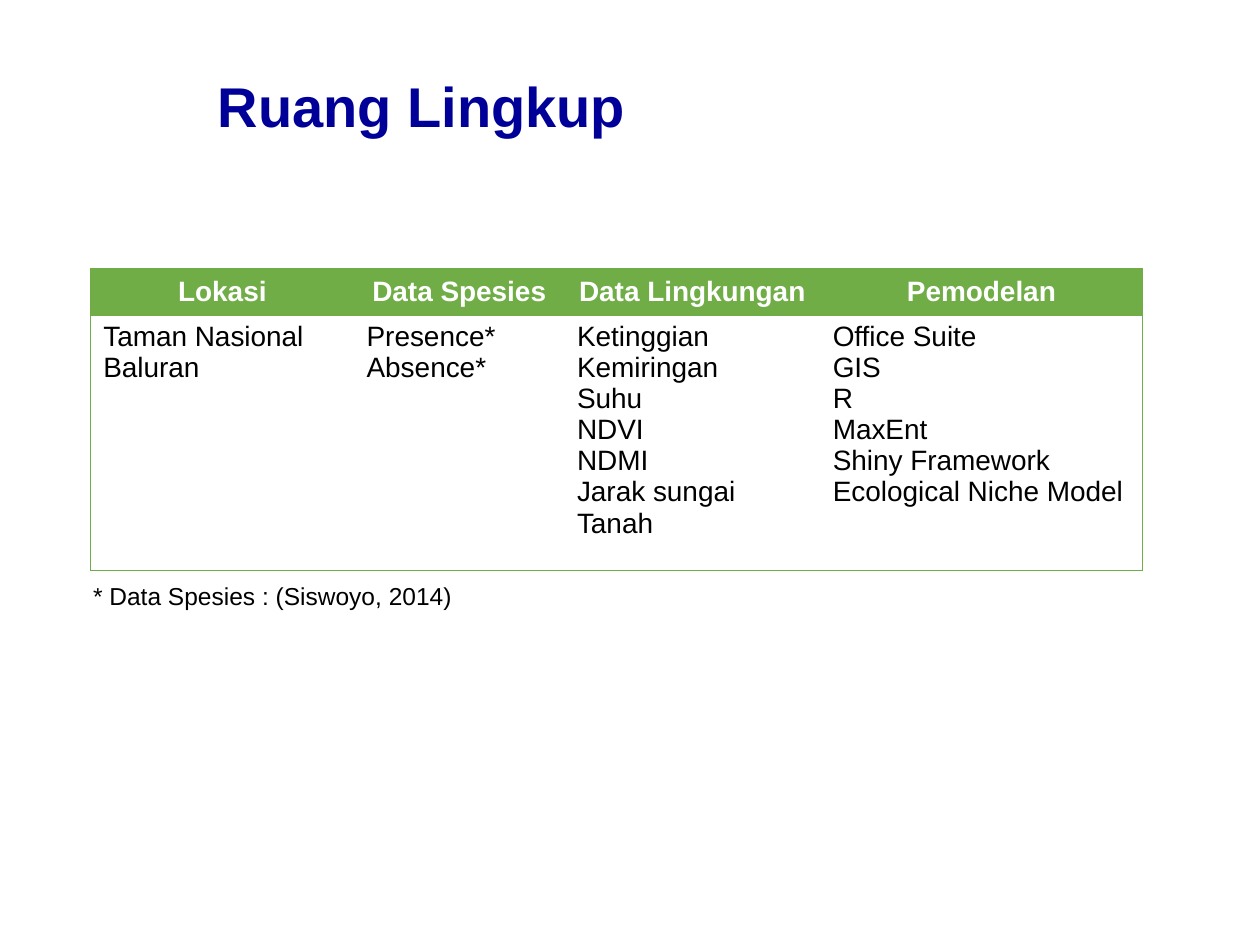
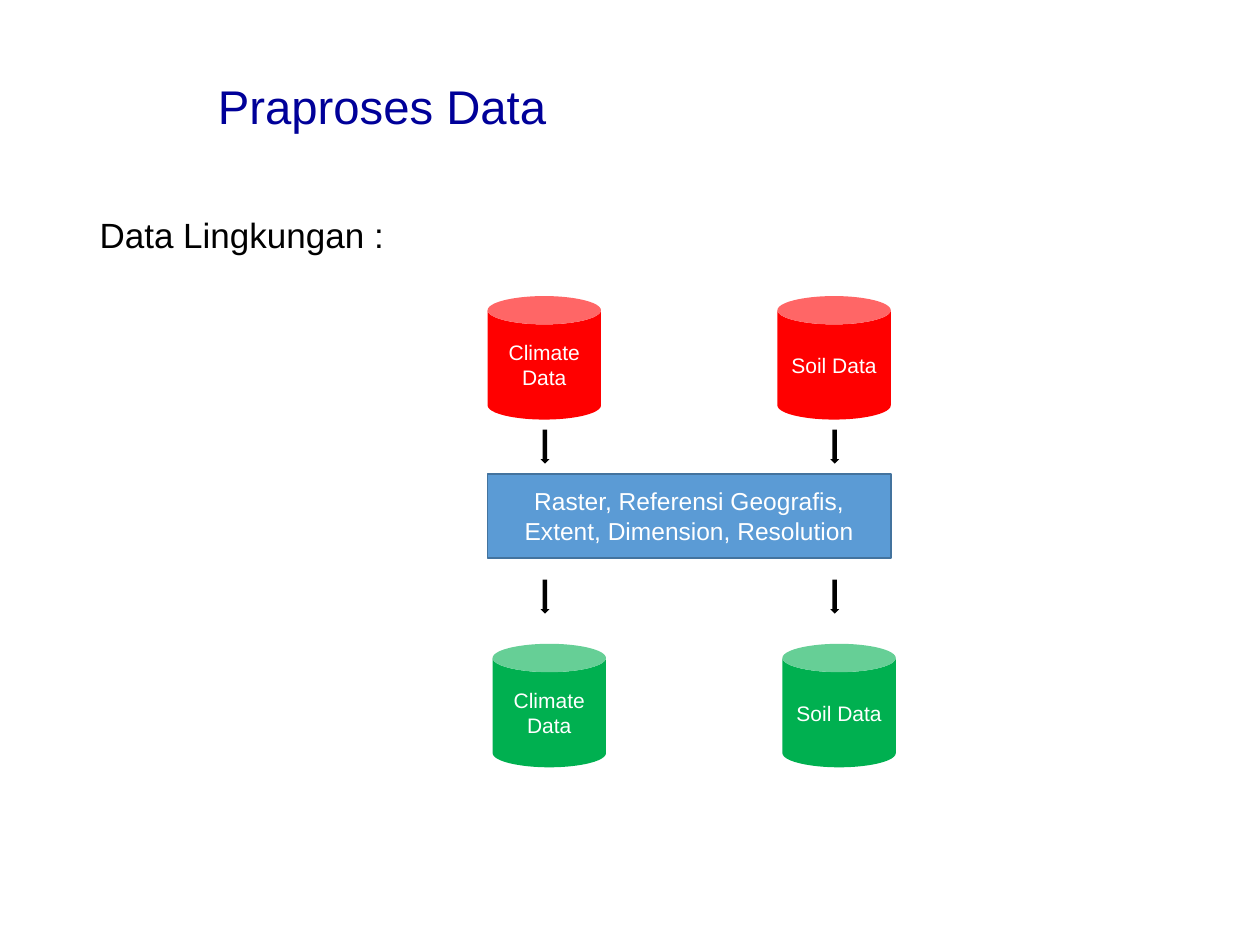
"""Build two slides: the scope table and the data preprocessing flow."""
from dataclasses import dataclass

from lxml import etree
from pptx import Presentation
from pptx.dml import color
from pptx.enum import shapes, text
from pptx.oxml import ns
from pptx.util import Inches, Pt

FONT = "Arial"
NAVY, BLACK, WHITE = "000099", "000000", "FFFFFF"
TABLE_GREEN, RED, GREEN = "70AD47", "FF0000", "00B050"
BLUE, BLUE_EDGE = "5B9BD5", "43739E"

LEFT, CENTER = text.PP_ALIGN.LEFT, text.PP_ALIGN.CENTER
MIDDLE, TOP = text.MSO_ANCHOR.MIDDLE, text.MSO_ANCHOR.TOP
SHAPE = shapes.MSO_SHAPE
COLUMN_STEP = 2.3


@dataclass(frozen=True)
class ScopeColumn:
    heading: str
    width: float
    entries: tuple[str, ...]


@dataclass(frozen=True)
class Block:
    kind: int
    left: float
    top: float
    width: float
    height: float
    fill: str
    label: str = ""
    size: int = 12
    edge: str = ""


SCOPE = (
    ScopeColumn("Lokasi", 2.09, ("Taman Nasional Baluran",)),
    ScopeColumn("Data Spesies", 1.67, ("Presence*", "Absence*")),
    ScopeColumn("Data Lingkungan", 2.03, ("Ketinggian", "Kemiringan", "Suhu", "NDVI",
                                          "NDMI", "Jarak sungai", "Tanah")),
    ScopeColumn("Pemodelan", 2.56, ("Office Suite", "GIS", "R", "MaxEnt",
                                    "Shiny Framework", "Ecological Niche Model")),
)


def rgb(value: str) -> color.RGBColor:
    return color.RGBColor.from_string(value)


def place(item, left: float, top: float, width: float, height: float) -> None:
    item.left, item.top = Inches(left), Inches(top)
    item.width, item.height = Inches(width), Inches(height)


def write(frame, lines: tuple[str, ...], size: int, ink: str, align=LEFT, bold=False) -> None:
    frame.text = "\n".join(lines)
    for paragraph in frame.paragraphs:
        paragraph.alignment = align
        font = paragraph.font
        font.name, font.size, font.bold = FONT, Pt(size), bold
        font.color.rgb = rgb(ink)


def add_titled_slide(deck, layout: int, heading: str, size: int, bold: bool):
    slide = deck.slides.add_slide(deck.slide_layouts[layout])
    title = slide.shapes.title
    place(title, 1.63, 0.4, 7.68, 0.94)
    frame = title.text_frame
    write(frame, (heading,), size, NAVY, bold=bold)
    frame.vertical_anchor = MIDDLE
    frame.auto_size = text.MSO_AUTO_SIZE.NONE
    frame.paragraphs[0].line_spacing = 0.9
    return slide


def set_borders(cell, drawn: dict[str, bool]) -> None:
    properties = cell._tc.get_or_add_tcPr()
    for side in "LRTB":
        line = etree.SubElement(properties, ns.qn(f"a:ln{side}"), w=str(Pt(0.5)))
        if drawn[side]:
            fill = etree.SubElement(line, ns.qn("a:solidFill"))
            etree.SubElement(fill, ns.qn("a:srgbClr"), val=TABLE_GREEN)
        else:
            etree.SubElement(line, ns.qn("a:noFill"))


def add_scope_table(slide) -> None:
    width = sum(column.width for column in SCOPE)
    table = slide.shapes.add_table(2, len(SCOPE), Inches(0.72), Inches(2.13),
                                   Inches(width), Inches(2.4)).table
    table.rows[0].height, table.rows[1].height = Inches(0.37), Inches(2.03)
    for index, column in enumerate(SCOPE):
        table.columns[index].width = Inches(column.width)
        header, body = table.cell(0, index), table.cell(1, index)
        for cell in (header, body):
            set_borders(cell, {"L": index == 0, "R": index == len(SCOPE) - 1,
                               "T": True, "B": True})
        header.fill.solid()
        header.fill.fore_color.rgb = rgb(TABLE_GREEN)
        header.vertical_anchor = MIDDLE
        write(header.text_frame, (column.heading,), 16, WHITE, CENTER, True)
        body.fill.background()
        body.vertical_anchor = TOP
        write(body.text_frame, column.entries, 16, BLACK)


def add_block(slide, block: Block) -> None:
    shape = slide.shapes.add_shape(block.kind, Inches(block.left), Inches(block.top),
                                   Inches(block.width), Inches(block.height))
    shape.shadow.inherit = False
    shape.fill.solid()
    shape.fill.fore_color.rgb = rgb(block.fill)
    if block.edge:
        shape.line.color.rgb = rgb(block.edge)
        shape.line.width = Pt(1)
    else:
        shape.line.fill.background()
    if block.label:
        write(shape.text_frame, (block.label,), block.size, WHITE, CENTER)
        shape.text_frame.vertical_anchor = MIDDLE


def add_data_row(slide, left: float, top: float, fill: str) -> None:
    for index, label in enumerate(("Climate Data", "Soil Data")):
        add_block(slide, Block(SHAPE.CAN, left + index * COLUMN_STEP, top,
                               0.9, 0.98, fill, label))


def add_arrow_row(slide, top: float) -> None:
    for index in range(2):
        add_block(slide, Block(SHAPE.DOWN_ARROW, 4.29 + index * COLUMN_STEP, top,
                               0.07, 0.27, BLACK))


def build_scope(deck) -> None:
    slide = add_titled_slide(deck, 5, "Ruang Lingkup", 32, True)
    note = slide.shapes.add_textbox(Inches(0.64), Inches(4.56), Inches(3.07), Inches(0.34))
    write(note.text_frame, ("* Data Spesies : (Siswoyo, 2014)",), 14, BLACK)
    add_scope_table(slide)


def build_preprocessing(deck) -> None:
    slide = add_titled_slide(deck, 1, "Praproses Data", 27, False)
    body = slide.placeholders[1]
    place(body, 0.69, 1.68, 8.62, 5.08)
    write(body.text_frame, ("Data Lingkungan :",), 20, BLACK)
    body.text_frame.auto_size = text.MSO_AUTO_SIZE.NONE
    intro = body.text_frame.paragraphs[0]
    intro.line_spacing, intro.space_before = 0.9, Pt(10)
    properties = intro._p.get_or_add_pPr()
    properties.set("marL", "0")
    properties.set("indent", "0")
    etree.SubElement(properties, ns.qn("a:buNone"))
    properties.append(properties.find(ns.qn("a:defRPr")))

    add_data_row(slide, 3.87, 2.35, RED)
    add_block(slide, Block(SHAPE.RECTANGLE, 3.87, 3.76, 3.2, 0.67, BLUE,
                           "Raster, Referensi Geografis, Extent, Dimension, Resolution",
                           14, BLUE_EDGE))
    add_arrow_row(slide, 3.41)
    add_data_row(slide, 3.91, 5.11, GREEN)
    add_arrow_row(slide, 4.6)


def main() -> None:
    deck = Presentation()
    deck.slide_width, deck.slide_height = Inches(10), Inches(7.5)
    build_scope(deck)
    build_preprocessing(deck)
    deck.save("out.pptx")


if __name__ == "__main__":
    main()
